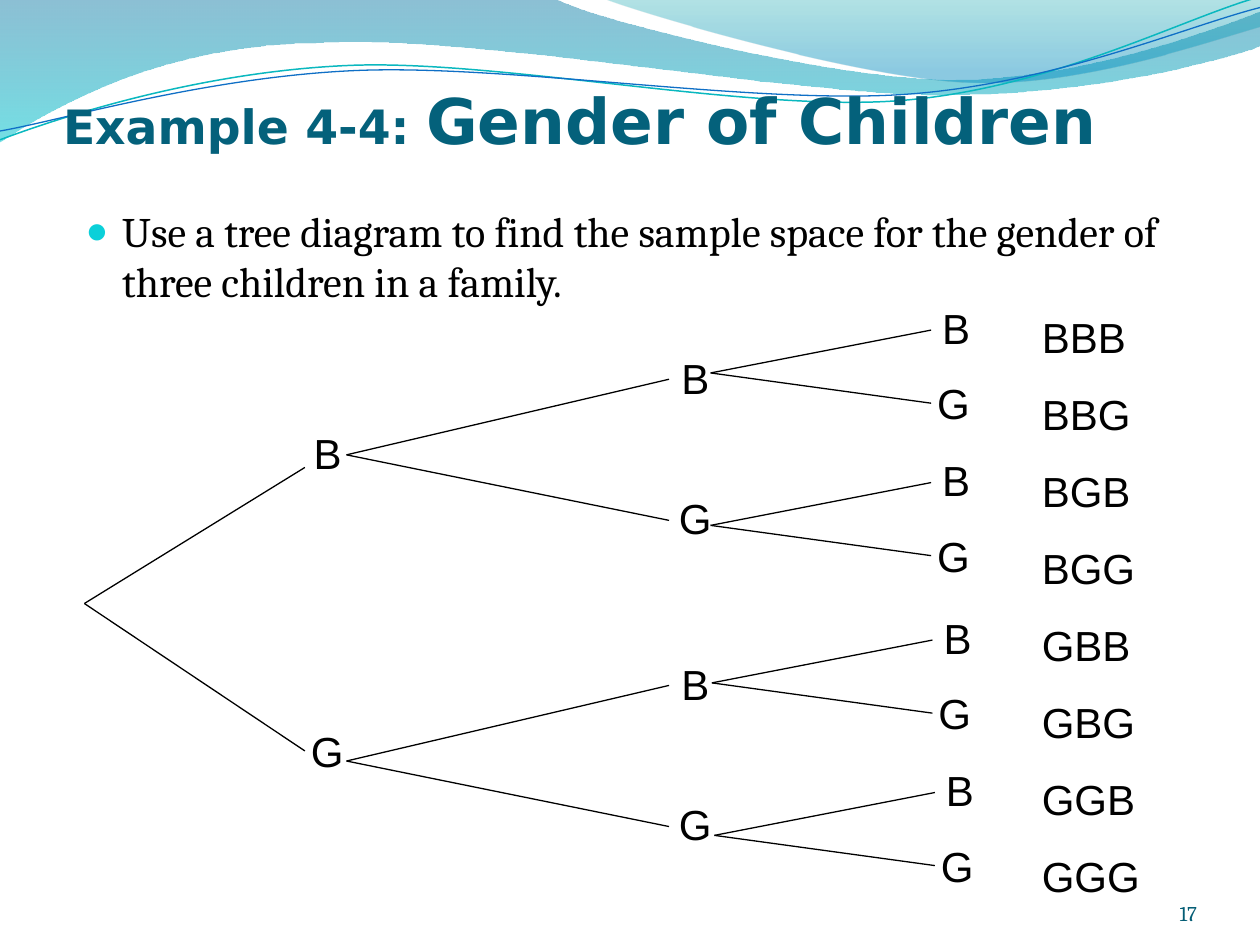
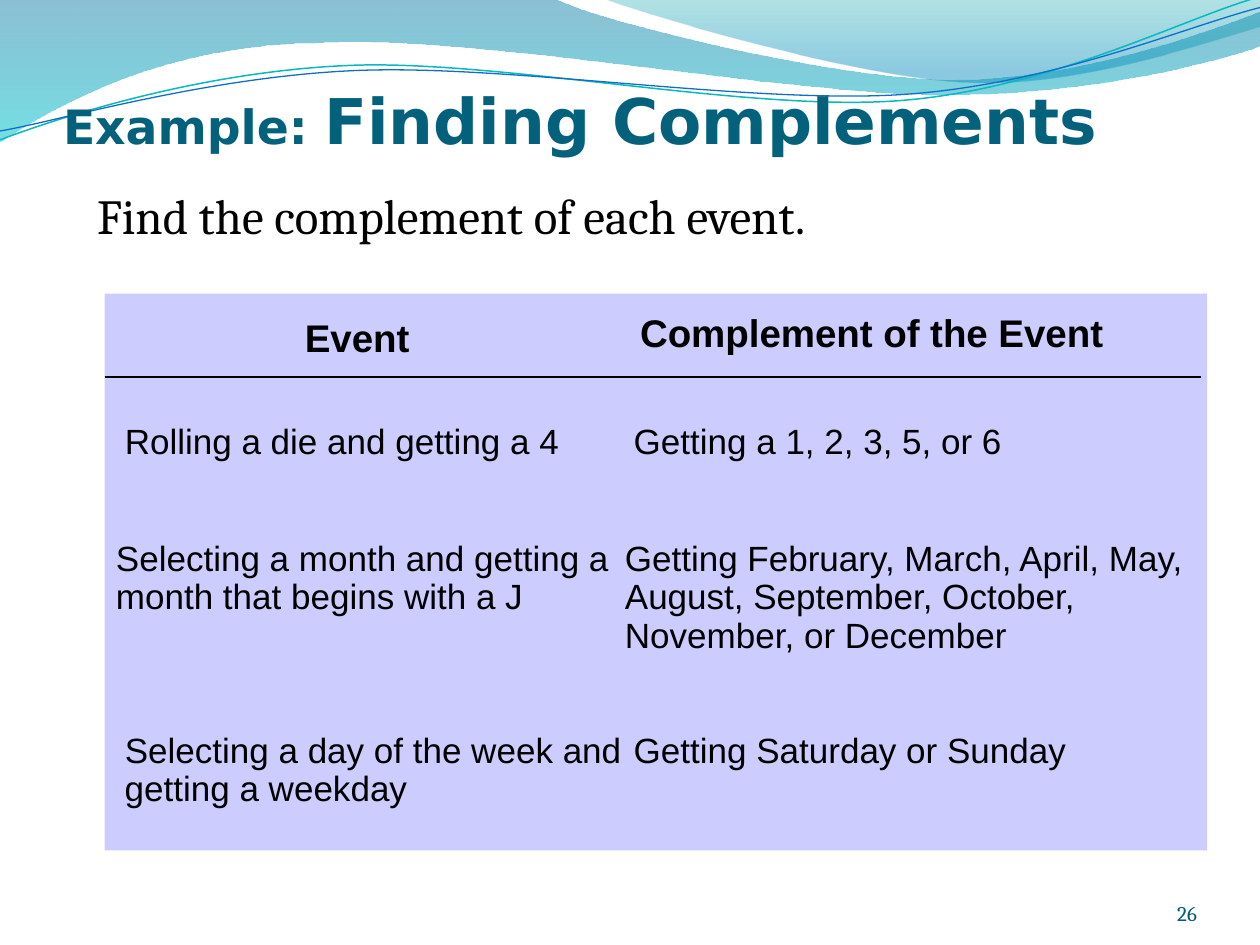
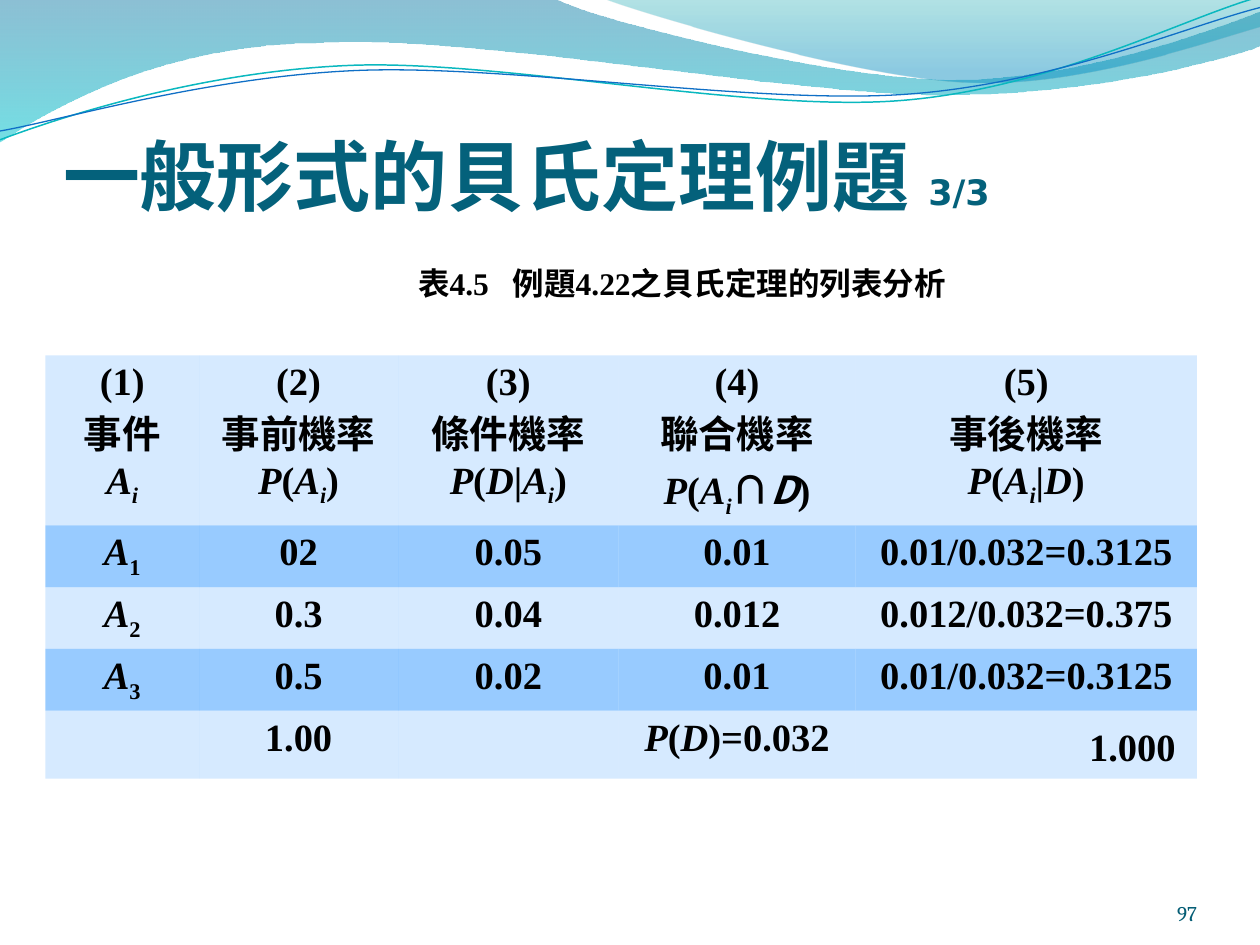
"""Build three probability slides: a tree diagram, complements and a Bayes table."""
from dataclasses import dataclass
from itertools import groupby, product

from pptx import Presentation
from pptx.dml.color import RGBColor
from pptx.enum.shapes import MSO_CONNECTOR, MSO_SHAPE
from pptx.enum.text import MSO_ANCHOR, MSO_AUTO_SIZE, PP_ALIGN
from pptx.oxml.ns import qn
from pptx.oxml.xmlchemy import OxmlElement
from pptx.util import Emu, Pt

EMU_PER_PX = 9144
COLORS = {
    "title": "04617B", "number": "045D75", "text": "000000", "bullet": "0BD0D9",
    "wave_blue": "0074A1", "wave_cyan": "00C6CF", "wave_teal": "00A1A9",
    "wave_sky": "008BBF", "line_teal": "0AB8BF", "line_blue": "0F6FC6",
    "panel": "CCCCFF", "table": "3399FF",
}
TITLE_FONT, BODY_FONT, LABEL_FONT = "DejaVu Sans", "Cambria", "Arial"
TABLE_FONT, CJK_FONT = "Times New Roman", "Noto Sans CJK TC"
PLAIN_TABLE_STYLE = "{2D5ABB26-0587-4C30-8999-92F81FD0307C}"


@dataclass(frozen=True)
class Box:
    left: int
    top: int
    width: int
    height: int

    def emu(self) -> tuple:
        return px(self.left), px(self.top), px(self.width), px(self.height)


@dataclass(frozen=True)
class TextStyle:
    face: str
    size: int
    color: str = "text"
    bold: bool = False


@dataclass(frozen=True)
class GradientStop:
    position: float
    color: str
    opacity: int


@dataclass(frozen=True)
class Wave:
    start: tuple
    segments: tuple
    stops: tuple = ()
    line: str = ""
    line_width: float = 0


@dataclass(frozen=True)
class Fork:
    run: int
    rise: int
    drop: int
    boy_offset: tuple
    girl_offset: tuple
    origins: tuple


@dataclass(frozen=True)
class Entry:
    left: int
    top: int
    lines: tuple


WAVES = (
    Wave((0, -1), ((440, -1), (476, 17, 664, 63, 758, 63), (853, 63, 958, 26, 1000, 9),
                   (1001, 36), (983, 44, 870, 76, 746, 75), (622, 75, 382, 28, 257, 34),
                   (129, 35, 46, 83, -1, 113)),
         stops=(GradientStop(0, "wave_blue", 45), GradientStop(1, "wave_cyan", 55))),
    Wave((479, -1), ((509, 11, 682, 62, 769, 65), (856, 69, 961, 32, 1000, 21), (1000, 0)),
         stops=(GradientStop(0, "wave_teal", 30), GradientStop(0.8, "wave_sky", 45))),
    Wave((0, 111), ((48, 93, 158, 57, 277, 52), (395, 47, 593, 89, 713, 80),
                    (833, 71, 938, 15, 998, -2)), line="line_teal", line_width=0.85),
    Wave((0, 104), ((47, 96, 164, 61, 283, 56), (403, 51, 597, 83, 717, 75),
                    (836, 67, 941, 21, 1000, 6)), line="line_blue", line_width=0.75),
)
TITLE_BOX = Box(50, 50, 900, 75)
NUMBER_BOX = Box(867, 695, 83, 40)
LABEL = TextStyle(LABEL_FONT, 24)
HEADING = TextStyle(LABEL_FONT, 22, bold=True)
EVENT = TextStyle(LABEL_FONT, 20)
TABLE_TEXT = TextStyle(TABLE_FONT, 22, bold=True)
CAPTION = TextStyle(TABLE_FONT, 18, bold=True)

FORKS = (
    Fork(175, 108, 117, (172, -145), (170, 92), ((67, 479),)),
    Fork(256, 60, 52, (256, -86), (254, 25), ((275, 361), (275, 604))),
    Fork(175, 34, 24, (174, -61), (170, -1),
         ((564, 296), (564, 417), (565, 542), (567, 663))),
)
EVENT_PITCH = 30.5
ENTRIES = (
    Entry(99, 333, (("Rolling a die and getting a 4", 348),)),
    Entry(503, 333, (("Getting a 1, 2, 3, 5, or 6", 294),)),
    Entry(92, 426, (("Selecting a month and getting a", 402),
                    ("month that begins with a J", 325))),
    Entry(496, 426, (("Getting February, March, April, May,", 453),
                     ("August, September, October,", 367),
                     ("November, or December", 305))),
    Entry(99, 578, (("Selecting a day of the week and", 405), ("getting a weekday", 226))),
    Entry(503, 578, (("Getting Saturday or Sunday", 346),)),
)
BAYES_COLUMNS = (122, 158, 175, 188, 271)
BAYES_ROWS = (135, 49, 49, 49, 54)
BAYES_CELLS = (
    ("(1)\n事件\nAi", "(2)\n事前機率\nP(Ai)", "(3)\n條件機率\nP(D|Ai)",
     "(4)\n聯合機率\nP(Ai∩D)", "(5)\n事後機率\nP(Ai|D)"),
    ("A1", "02", "0.05", "0.01", "0.01/0.032=0.3125"),
    ("A2", "0.3", "0.04", "0.012", "0.012/0.032=0.375"),
    ("A3", "0.5", "0.02", "0.01", "0.01/0.032=0.3125"),
    ("", "1.00", "", "P(D)=0.032", "1.000"),
)


def px(length: float) -> Emu:
    """Turn a length in px into EMU."""
    return Emu(round(length * EMU_PER_PX))


def rgb(name: str) -> RGBColor:
    """Look up a colour of the deck."""
    return RGBColor.from_string(COLORS[name])


def style_run(run, style: TextStyle) -> None:
    """Give a run its font, size, weight and colour."""
    run.font.name = style.face
    run.font.size = Pt(style.size)
    run.font.bold = style.bold
    run.font.color.rgb = rgb(style.color)


def set_cjk_font(element) -> None:
    """Name the East Asian font beside every Latin font in an element."""
    for latin in list(element.iter(qn("a:latin"))):
        east_asian = OxmlElement("a:ea")
        east_asian.set("typeface", CJK_FONT)
        latin.addnext(east_asian)


def set_opacity(color, percent: int) -> None:
    """Make a colour element partly transparent."""
    alpha = OxmlElement("a:alpha")
    alpha.set("val", str(percent * 1000))
    color.append(alpha)


def set_margins(text_frame, left: int, top: int, right: int, bottom: int) -> None:
    """Set the four insets of a text frame."""
    text_frame.margin_left, text_frame.margin_top = px(left), px(top)
    text_frame.margin_right, text_frame.margin_bottom = px(right), px(bottom)


def place(shape, box: Box) -> None:
    """Move and size a shape."""
    shape.left, shape.top, shape.width, shape.height = box.emu()


def add_text(slide, text: str, box: Box, style: TextStyle, wrap: bool = True,
             inset: bool = True, line_points: int = 0):
    """Add a text box with one paragraph for each line of text."""
    shape = slide.shapes.add_textbox(*box.emu())
    text_frame = shape.text_frame
    text_frame.word_wrap = wrap
    if not inset:
        set_margins(text_frame, 0, 0, 0, 0)
    text_frame.text = text
    for paragraph in text_frame.paragraphs:
        if line_points:
            paragraph.line_spacing = Pt(line_points)
        for run in paragraph.runs:
            style_run(run, style)
    return shape


def add_line(slide, start: tuple, end: tuple, width: float = 0.75) -> None:
    """Draw a straight black line."""
    connector = slide.shapes.add_connector(
        MSO_CONNECTOR.STRAIGHT, *(px(value) for value in start + end))
    connector.line.color.rgb = rgb("text")
    connector.line.width = Pt(width)
    connector.element.spPr.append(OxmlElement("a:effectLst"))


def bend_segments(shape, segments: tuple) -> None:
    """Turn each three straight steps of a curved segment into one Bézier curve."""
    steps = iter(list(shape.element.iter(qn("a:lnTo"))))
    for segment in segments:
        first = next(steps)
        if len(segment) == 2:
            continue
        curve = OxmlElement("a:cubicBezTo")
        first.addprevious(curve)
        for step in (first, next(steps), next(steps)):
            curve.append(step[0])
            step.getparent().remove(step)


def draw_wave(slide, wave: Wave):
    """Draw a filled wave or a thin wavy line."""
    points = [(px(segment[index]), px(segment[index + 1]))
              for segment in wave.segments for index in range(0, len(segment), 2)]
    builder = slide.shapes.build_freeform(px(wave.start[0]), px(wave.start[1]))
    builder.add_line_segments(points, close=False)
    shape = builder.convert_to_shape()
    bend_segments(shape, wave.segments)
    shape.shadow.inherit = False
    if not wave.stops:
        shape.fill.background()
        shape.line.color.rgb = rgb(wave.line)
        shape.line.width = Pt(wave.line_width)
        return shape
    for outline in shape.element.iter(qn("a:path")):
        outline.append(OxmlElement("a:close"))
    shape.line.fill.background()
    shape.fill.gradient()
    shape.fill.gradient_angle = 270
    for gradient_stop, stop in zip(shape.fill.gradient_stops, wave.stops):
        gradient_stop.position = stop.position
        gradient_stop.color.rgb = rgb(stop.color)
    for color, stop in zip(shape.element.iter(qn("a:srgbClr")), wave.stops):
        set_opacity(color, stop.opacity)
    return shape


def decorate_master(presentation, slide) -> None:
    """Place the waves behind everything on the slide master."""
    tree = presentation.slide_master.shapes.element
    for index, wave in enumerate(WAVES):
        tree.insert(2 + index, draw_wave(slide, wave).element)


def add_slide(presentation, layout: int, title: tuple, number: int, box: Box = TITLE_BOX):
    """Add a slide with its title parts and its number."""
    slide = presentation.slides.add_slide(presentation.slide_layouts[layout])
    shape = slide.shapes.title
    place(shape, box)
    text_frame = shape.text_frame
    text_frame.auto_size = MSO_AUTO_SIZE.NONE
    text_frame.vertical_anchor = MSO_ANCHOR.BOTTOM
    set_margins(text_frame, 0, 5, 0, 0)
    paragraph = text_frame.paragraphs[0]
    paragraph.alignment = PP_ALIGN.LEFT
    for text, size in title:
        run = paragraph.add_run()
        run.text = text
        style_run(run, TextStyle(TITLE_FONT, size, "title", True))
    set_cjk_font(shape.element)

    footer = add_text(slide, str(number), NUMBER_BOX,
                      TextStyle(BODY_FONT, 12, "number"), inset=False)
    footer.text_frame.vertical_anchor = MSO_ANCHOR.BOTTOM
    footer.text_frame.paragraphs[0].alignment = PP_ALIGN.RIGHT
    return slide


def fill_body(slide, text: str, box: Box, size: int, bullet: bool) -> None:
    """Write the body placeholder with or without a bullet."""
    shape = slide.placeholders[1]
    place(shape, box)
    shape.text_frame.auto_size = MSO_AUTO_SIZE.NONE
    shape.text_frame.text = text
    paragraph = shape.text_frame.paragraphs[0]
    properties = paragraph._p.get_or_add_pPr()
    indent = px(29) if bullet else 0
    properties.set("marL", str(indent))
    properties.set("indent", str(-indent))
    if bullet:
        bullet_color = OxmlElement("a:buClr")
        color = OxmlElement("a:srgbClr")
        color.set("val", COLORS["bullet"])
        bullet_color.append(color)
        bullet_size = OxmlElement("a:buSzPct")
        bullet_size.set("val", "90000")
        character = OxmlElement("a:buChar")
        character.set("char", "●")
        properties.extend((bullet_color, bullet_size, character))
    else:
        properties.append(OxmlElement("a:buNone"))
    paragraph.space_before = Pt(0)
    style_run(paragraph.runs[0], TextStyle(BODY_FONT, size))


def draw_fork(slide, fork: Fork, origin: tuple) -> None:
    """Draw two branches from an origin and the letters at their ends."""
    x, y = origin
    branches = (("B", 43, -fork.rise, fork.boy_offset), ("G", 46, fork.drop, fork.girl_offset))
    for letter, width, change, (label_x, label_y) in branches:
        add_line(slide, origin, (x + fork.run, y + change))
        add_text(slide, letter, Box(x + label_x, y + label_y, width, 51), LABEL, wrap=False)


def build_tree_slide(slide) -> None:
    """Draw the tree diagram and its sample space."""
    fill_body(slide, "Use a tree diagram to find the sample space for the gender of "
              "three children in a family.", Box(58, 158, 883, 100), 24, bullet=True)
    for fork in FORKS:
        for origin in fork.origins:
            draw_fork(slide, fork, origin)
    outcomes = "\n".join("".join(children) for children in product("BG", repeat=3))
    add_text(slide, outcomes, Box(817, 221, 99, 496), LABEL, wrap=False, line_points=44)


def build_complement_slide(slide) -> None:
    """Draw the panel of events and their complements."""
    fill_body(slide, "Find the complement of each event.", Box(67, 142, 883, 67), 28, bullet=False)
    panel = slide.shapes.add_shape(MSO_SHAPE.RECTANGLE, *Box(83, 233, 875, 442).emu())
    panel.shadow.inherit = False
    panel.fill.solid()
    panel.fill.fore_color.rgb = rgb("panel")
    panel.line.fill.background()
    add_line(slide, (83, 299), (953, 299), 1)
    add_text(slide, "Event", Box(242, 249, 84, 37), HEADING, wrap=False, inset=False)
    add_text(slide, "Complement of the Event", Box(508, 245, 425, 37), HEADING, inset=False)
    for entry in ENTRIES:
        for index, (text, width) in enumerate(entry.lines):
            top = entry.top + round(index * EVENT_PITCH)
            add_text(slide, text, Box(entry.left, top, width, 34), EVENT, wrap=False, inset=False)


def write_formula(paragraph, text: str) -> None:
    """Write text with italic symbols and subscripts after A."""
    def look(pair: tuple) -> tuple:
        before, character = pair
        return character in "PADi", before == "A" and character in "i123", "∩" in pair

    for (italic, subscript, cjk), pairs in groupby(zip(" " + text, text), key=look):
        run = paragraph.add_run()
        run.text = "".join(character for _, character in pairs)
        style_run(run, TABLE_TEXT)
        run.font.italic = italic
        if cjk:
            run.font.name = CJK_FONT
        if subscript:
            run._r.get_or_add_rPr().set("baseline", "-25000")


def fill_cell(cell, text: str, opacity: int) -> None:
    """Tint a table cell and write its centred lines."""
    cell.margin_bottom = px(2)
    cell.fill.solid()
    cell.fill.fore_color.rgb = rgb("table")
    for color in cell._tc.iter(qn("a:srgbClr")):
        set_opacity(color, opacity)
    for index, line in enumerate(text.split("\n")):
        text_frame = cell.text_frame
        paragraph = text_frame.add_paragraph() if index else text_frame.paragraphs[0]
        paragraph.alignment = PP_ALIGN.CENTER
        write_formula(paragraph, line)


def build_bayes_slide(slide) -> None:
    """Draw the table of prior and posterior probabilities."""
    box = Box(36, 282, sum(BAYES_COLUMNS), sum(BAYES_ROWS))
    frame = slide.shapes.add_table(len(BAYES_ROWS), len(BAYES_COLUMNS), *box.emu())
    table = frame.table
    table.first_row = table.horz_banding = False
    for style in frame.element.iter(qn("a:tableStyleId")):
        style.text = PLAIN_TABLE_STYLE
    for column, width in zip(table.columns, BAYES_COLUMNS):
        column.width = px(width)
    for index, (row, height) in enumerate(zip(table.rows, BAYES_ROWS)):
        row.height = px(height)
        for cell, text in zip(row.cells, BAYES_CELLS[index]):
            fill_cell(cell, text, 50 if index % 2 else 20)
    total = table.cell(len(BAYES_ROWS) - 1, len(BAYES_COLUMNS) - 1)
    total.margin_top, total.margin_right = px(13), px(17)
    total.text_frame.paragraphs[0].alignment = PP_ALIGN.RIGHT
    set_cjk_font(frame.element)

    caption = add_text(slide, "表4.5", Box(322, 205, 439, 40), CAPTION)
    paragraph = caption.text_frame.paragraphs[0]
    for text in (" ", "例題4.22之貝氏定理的列表分析"):
        run = paragraph.add_run()
        run.text = text
        style_run(run, CAPTION)
    paragraph.runs[1]._r.get_or_add_rPr().set("spc", "900")
    set_cjk_font(caption.element)


def main() -> None:
    """Build and save the deck."""
    presentation = Presentation()
    presentation.slide_width, presentation.slide_height = px(1000), px(750)

    tree = add_slide(presentation, 1, (("Example 4-4: ", 27), ("Gender of Children", 36)), 17)
    decorate_master(presentation, tree)
    build_tree_slide(tree)

    complements = add_slide(presentation, 1, (("Example: ", 27), ("Finding Complements", 36)), 26)
    build_complement_slide(complements)

    bayes = add_slide(presentation, 5, (("一般形式的貝氏定理例題 ", 44), ("3/3", 20)), 97,
                      Box(50, 77, 900, 98))
    build_bayes_slide(bayes)
    presentation.save("out.pptx")


if __name__ == "__main__":
    main()
